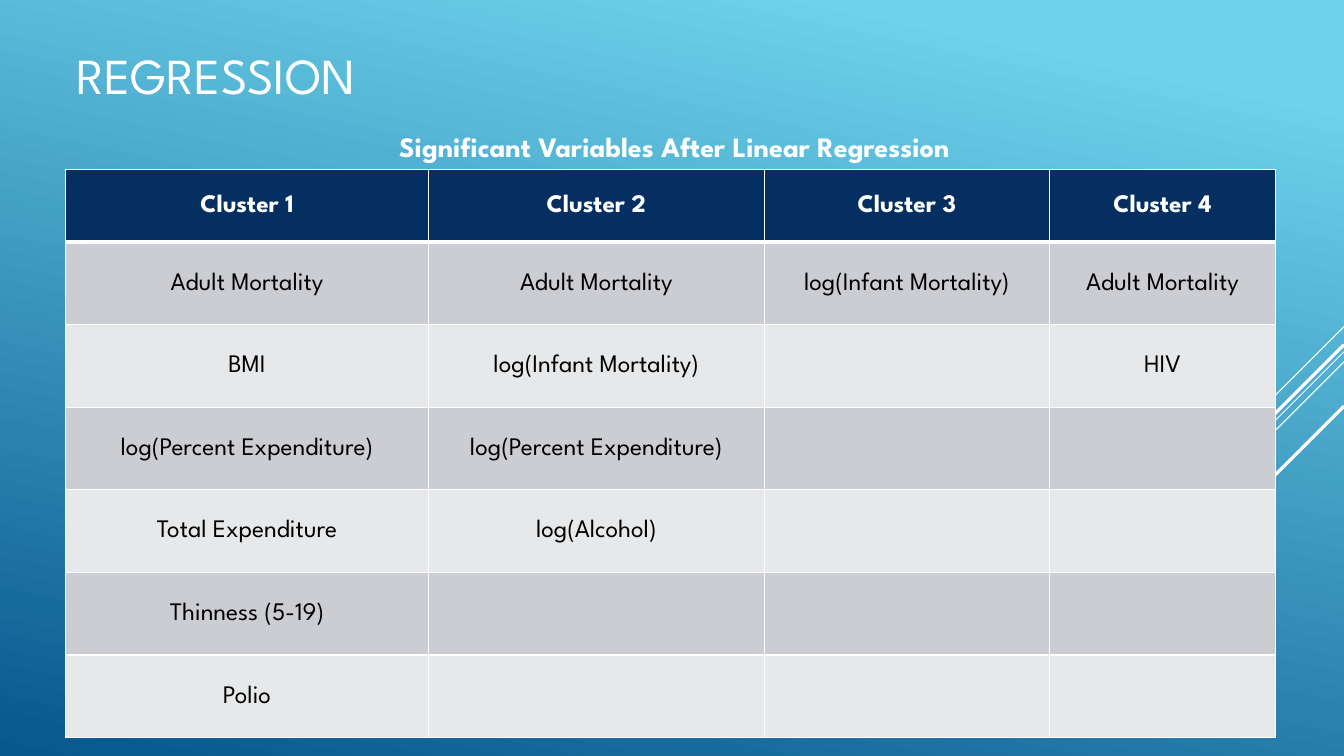
from lxml import etree
from pptx import Presentation
from pptx.dml.color import RGBColor
from pptx.enum.shapes import MSO_CONNECTOR
from pptx.enum.text import MSO_ANCHOR, PP_ALIGN
from pptx.oxml.ns import qn
from pptx.util import Inches, Pt

STRAIGHT = MSO_CONNECTOR.STRAIGHT
MIDDLE = MSO_ANCHOR.MIDDLE
LEFT, CENTER = PP_ALIGN.LEFT, PP_ALIGN.CENTER

FONT = "League Spartan"
WHITE, BLACK, NAVY = "FFFFFF", "000000", "052F61"
BANDS = ["E7E8EA", "CCCDD2"]
SLIDE_WIDTH, SLIDE_HEIGHT = 13.33, 7.5

DIAGONALS = [(3.24, 1, 0.75), (3.49, 3.26, 0.75), (3.59, 2.07, 0.75),
             (3.42, 1.91, 2.25), (4.03, 1.39, 2.25)]
COLUMN_WIDTHS = [3.6, 3.33, 2.83, 2.24]
HEADER_HEIGHT, ROW_HEIGHT = 0.72, 0.82
CLUSTERS = [
    ["Cluster 1", "Cluster 2", "Cluster 3", "Cluster 4"],
    ["Adult Mortality", "Adult Mortality", "log(Infant Mortality)", "Adult Mortality"],
    ["BMI", "log(Infant Mortality)", "", "HIV"],
    ["log(Percent Expenditure)", "log(Percent Expenditure)", "", ""],
    ["Total Expenditure", "log(Alcohol)", "", ""],
    ["Thinness (5-19)", "", "", ""],
    ["Polio", "", "", ""],
]


def color(value):
    return RGBColor.from_string(value)


def paint_background(slide):
    fill = slide.background.fill
    fill.gradient()
    fill.gradient_angle = 258
    for stop, (position, shade) in zip(fill.gradient_stops, [(0.1, "6ED2EB"), (1, "06588E")]):
        stop.position = position
        stop.color.rgb = color(shade)


def add_diagonal(slide, top, reach, weight):
    diagonal = slide.shapes.add_connector(
        STRAIGHT, Inches(SLIDE_WIDTH), Inches(top),
        Inches(SLIDE_WIDTH - reach), Inches(top + reach))
    diagonal.line.color.rgb = color(WHITE)
    diagonal.line.width = Pt(weight)
    etree.SubElement(diagonal._element.spPr, qn("a:effectLst"))


def write(text_frame, text, size, shade, bold=False, align=LEFT):
    text_frame.text = text
    paragraph = text_frame.paragraphs[0]
    paragraph.alignment = align
    font = paragraph.font
    if paragraph.runs:
        font = paragraph.runs[0].font
    font.name = FONT
    font.size = Pt(size)
    font.bold = bold
    font.color.rgb = color(shade)


def place(shape, left, top, width, height):
    shape.left, shape.top = Inches(left), Inches(top)
    shape.width, shape.height = Inches(width), Inches(height)


def add_title(slide, text):
    title = slide.shapes.title
    place(title, 0.66, 0.23, 9.33, 1.02)
    title.text_frame.vertical_anchor = MIDDLE
    write(title.text_frame, text, 36, WHITE)


def add_caption(slide, text):
    caption = slide.shapes.add_textbox(Inches(3.86), Inches(1.24), Inches(6.72), Inches(0.44))
    caption.text_frame.word_wrap = True
    write(caption.text_frame, text, 20, WHITE, bold=True)


def set_borders(cell, top, bottom):
    properties = cell._tc.get_or_add_tcPr()
    weights = [("a:lnL", 1), ("a:lnR", 1), ("a:lnT", top), ("a:lnB", bottom)]
    for index, (side, weight) in enumerate(weights):
        border = etree.Element(qn(side), w=str(Pt(weight)))
        solid = etree.SubElement(border, qn("a:solidFill"))
        etree.SubElement(solid, qn("a:srgbClr"), val=WHITE)
        properties.insert(index, border)


def fill_cell(cell, text, row):
    header = row == 0
    cell.fill.solid()
    cell.fill.fore_color.rgb = color(NAVY if header else BANDS[row % 2])
    cell.vertical_anchor = MIDDLE
    cell.margin_left = cell.margin_right = Inches(0.07)
    cell.margin_top = cell.margin_bottom = 0
    write(cell.text_frame, text, 18, WHITE if header else BLACK, header, CENTER)
    cell.text_frame.paragraphs[0].line_spacing = 1.07
    set_borders(cell, top=3 if row == 1 else 1, bottom=3 if header else 1)


def add_cluster_table(slide):
    heights = [HEADER_HEIGHT] + [ROW_HEIGHT] * (len(CLUSTERS) - 1)
    table = slide.shapes.add_table(
        len(CLUSTERS), len(COLUMN_WIDTHS), Inches(0.65), Inches(1.68),
        Inches(sum(COLUMN_WIDTHS)), Inches(sum(heights))).table
    for column, width in zip(table.columns, COLUMN_WIDTHS):
        column.width = Inches(width)
    for row, (height, variables) in enumerate(zip(heights, CLUSTERS)):
        table.rows[row].height = Inches(height)
        for column, variable in enumerate(variables):
            fill_cell(table.cell(row, column), variable, row)


def main():
    presentation = Presentation()
    presentation.slide_width = Inches(SLIDE_WIDTH)
    presentation.slide_height = Inches(SLIDE_HEIGHT)
    slide = presentation.slides.add_slide(presentation.slide_layouts[5])
    paint_background(slide)
    for top, reach, weight in DIAGONALS:
        add_diagonal(slide, top, reach, weight)
    add_title(slide, "REGRESSION")
    add_cluster_table(slide)
    add_caption(slide, "Significant Variables After Linear Regression")
    presentation.save("out.pptx")


if __name__ == "__main__":
    main()
